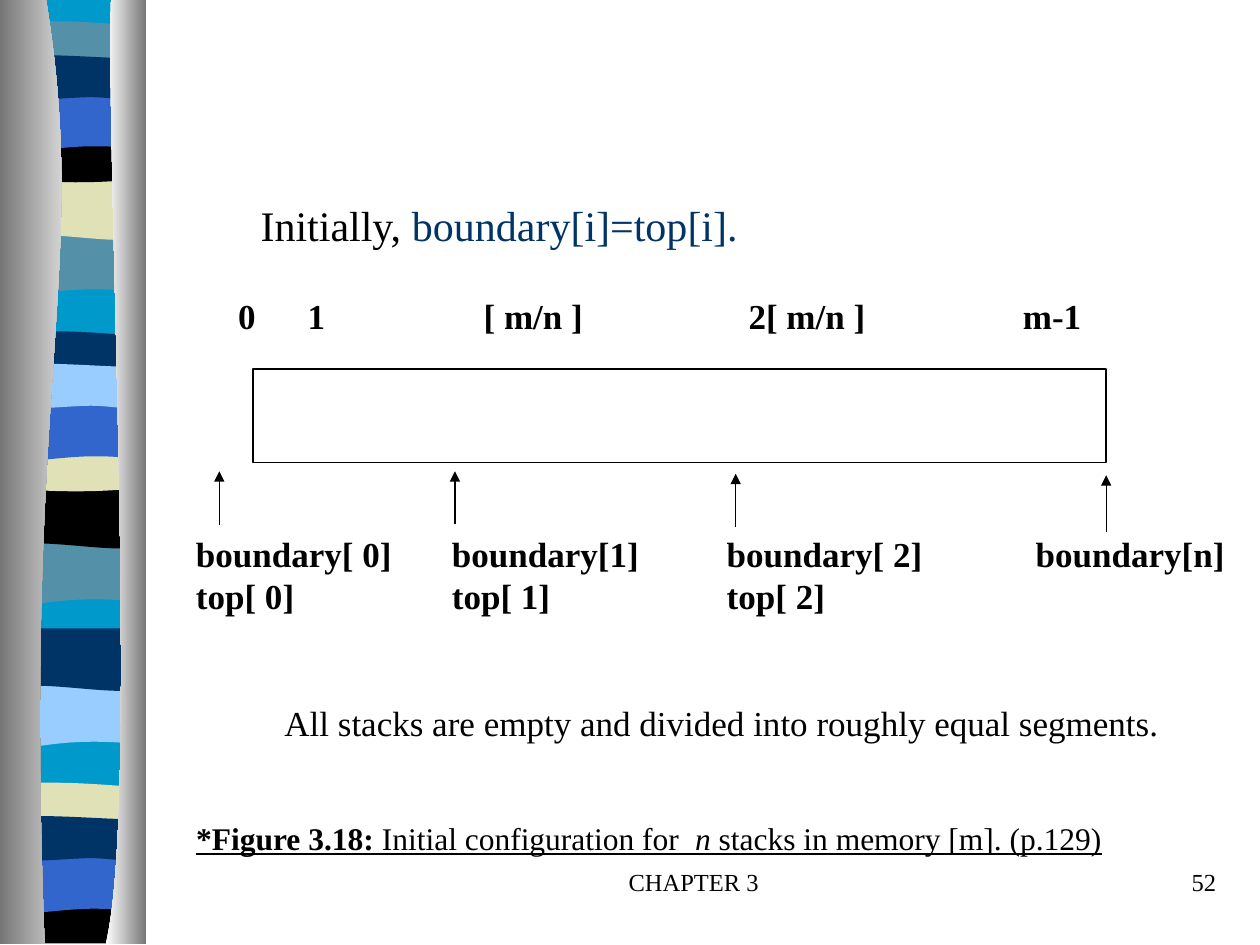
from dataclasses import dataclass
from lxml.etree import SubElement
from pptx import Presentation
from pptx.dml.color import RGBColor
from pptx.enum.shapes import MSO_CONNECTOR, MSO_SHAPE
from pptx.enum.text import MSO_ANCHOR, MSO_AUTO_SIZE, PP_ALIGN
from pptx.oxml.ns import qn
from pptx.util import Cm, Pt


@dataclass(frozen=True)
class Theme:
    font: str = "Times New Roman"
    ink: str = "000000"
    navy: str = "003366"
    blue: str = "3366CC"
    cyan: str = "0099CC"
    teal: str = "5490A8"
    sand: str = "E1E1B7"
    sky: str = "99CCFF"
    light: str = "FFFFFF"
    dark: str = "767676"
    lead: int = 24
    text: int = 20
    caption: int = 18
    footer: int = 14


THEME = Theme()

# All positions are in centimetres.
LEAD = [("Initially, ", {}), ("boundary[i]=top[i].", {"color": THEME.navy})]
INDEX_LABELS = [("0", 4.55, 1.3), ("1", 5.95, 1.3), ("[ m/n ]", 9.5, 3.2),
                ("2[ m/n ]", 14.84, 3.2), ("m-1", 20.37, 3.2)]  # text, left, width
STACKS = [(3.7, ["boundary[ 0]", "top[ 0]"]), (8.86, ["boundary[1]", "top[ 1]"]),
          (14.4, ["boundary[ 2]", "top[ 2]"]), (20.63, ["boundary[n]"])]
REMARK = [("All stacks are empty and divided into roughly equal segments.", {})]
CAPTION = [("*Figure 3.18: ", {"bold": True}), ("Initial configuration for ", {}),
           (" n ", {"italic": True}), ("stacks in memory [m]. (p.129)", {})]
FOOTERS = [("CHAPTER 3", 9.96, 8.05, PP_ALIGN.CENTER),
           ("52", 19.48, 5.29, PP_ALIGN.RIGHT)]
MEMORY = (5.1, 7.44, 17.2, 1.88)
ARROWS = [(4.42, 10.59, 9.5), (9.17, 10.57, 9.5),
          (14.83, 10.62, 9.55), (22.3, 10.72, 9.58)]  # x, foot, tip

# Outlines: a pair is a corner, six numbers are a Bezier curve.
L, R = 0.15, 2.9
BAND_OUTLINES = {
    "sag": [(R, 0), (R, 1.19), (0.99, 0.99, 0.61, 1.4, L, 1.19), (L, 0)],
    "lift": [(R, 0), (R, 1.19), (2.44, 1.4, 0.99, 1.04, L, 1.19), (L, 0)],
    "thin": [(R, 0), (R, 0.61), (2.44, 0.71, 0.61, 0.71, L, 0.61), (L, 0),
             (0.3, -0.13, 0.74, -0.1, 1.19, -0.1), (1.65, -0.1, 2.54, -0.03, R, 0)],
    "bulge": [(R, 0), (R, 0.83), (2.44, 0.97, 0.61, 0.97, L, 0.83), (L, 0),
              (1.83, 0.13, 2.31, 0, R, 0)],
    "foot": [(R, 0), (R, 0.94), (L, 0.94), (L, 0), (1.83, 0.13, 2.31, 0, R, 0)],
    "arch": [(R, 0), (R, 1.19), (2.46, 1.07, 2.29, 1.07, 1.83, 1.07),
             (1.37, 1.07, 0.56, 1.19, L, 1.19), (L, 0)],
    "ripple": [(R, 0), (R, 0.79), (2.72, 0.91, 2.29, 0.79, 1.83, 0.79),
               (1.37, 0.79, 0.43, 0.91, L, 0.79), (L, 0),
               (0.53, -0.13, 2.01, 0, 2.46, 0)],
    "strip": [(R, 0), (R, 18.97), (L, 18.97), (L, 0)],
}
BANDS = [
    ("strip", 0, THEME.cyan),
    ("sag", 4.7, THEME.teal), ("lift", 3.58, THEME.sand), ("thin", 0.53, THEME.teal),
    ("bulge", 2.74, THEME.ink), ("arch", 1.88, THEME.blue), ("ripple", 1.17, THEME.navy),
    ("sag", 10.95, THEME.teal), ("lift", 9.8, THEME.ink), ("thin", 6.78, THEME.navy),
    ("bulge", 8.97, THEME.sand), ("arch", 8.13, THEME.blue), ("ripple", 7.39, THEME.sky),
    ("sag", 13.82, THEME.sky), ("lift", 12.67, THEME.navy), ("thin", 15.88, THEME.sand),
    ("foot", 18.08, THEME.ink), ("arch", 17.25, THEME.blue), ("ripple", 16.51, THEME.navy),
]
COLUMNS = [
    ([(0.93, 0), (1.82, 5.49, 0.45, 7.52, 0.9, 19.03), (0, 19.03), (0, 0)],
     (THEME.dark, THEME.light)),
    ([(2.24, 0), (2.13, 3.18, 2.82, 16.41, 2.13, 19.03), (2.95, 19.03), (2.95, 0)],
     (THEME.light, THEME.dark)),
]


def rgb(code):
    return RGBColor.from_string(code)


def add_outline(page, outline, top=0):
    """Draw all points as a polygon, then join each curve's three lines into a Bezier."""
    points = [(Cm(part[i]), Cm(part[i + 1] + top))
              for part in outline for i in range(0, len(part), 2)]
    builder = page.shapes.build_freeform(*points[0])
    builder.add_line_segments(points[1:], close=True)
    shape = builder.convert_to_shape()
    lines = iter(list(shape._element.iter(qn("a:lnTo"))))
    for part in outline[1:]:
        first = next(lines)
        if len(part) == 6:
            curve = first.makeelement(qn("a:cubicBezTo"))
            first.addprevious(curve)
            for line in (first, next(lines), next(lines)):
                curve.append(line[0])
                line.getparent().remove(line)
    shape.shadow.inherit = False
    shape.line.fill.background()
    return shape


def place(box, left, top, width, height):
    box.left, box.top, box.width, box.height = map(Cm, (left, top, width, height))
    frame = box.text_frame
    frame.word_wrap = True
    frame.auto_size = MSO_AUTO_SIZE.NONE
    frame.vertical_anchor = MSO_ANCHOR.TOP
    return frame


def add_text(page, *area):
    return place(page.shapes.add_textbox(0, 0, 0, 0), *area)


def write(para, spans, size, bold=False, underline=None, indent=0,
          before=0, align=PP_ALIGN.LEFT):
    props = para._p.get_or_add_pPr()
    props.set("marL", str(Cm(indent)))
    props.set("indent", "0")
    SubElement(props, qn("a:buNone"))
    para.alignment = align
    para.space_before = Pt(before)
    font = para.font
    font.name, font.size, font.bold = THEME.font, Pt(size), bold
    font.underline = underline
    font.color.rgb = rgb(THEME.ink)
    for text, style in spans:
        span = para.add_run()
        span.text = text
        if "color" in style:
            span.font.color.rgb = rgb(style["color"])
        if "bold" in style:
            span.font.bold = style["bold"]
        if "italic" in style:
            span.font.italic = style["italic"]


def write_rows(frame, rows):
    for number, (spans, size, options) in enumerate(rows):
        para = frame.add_paragraph() if number else frame.paragraphs[0]
        write(para, spans, size, **options)


def draw_side_art(page):
    for kind, top, color in BANDS:
        band = add_outline(page, BAND_OUTLINES[kind], top)
        band.fill.solid()
        band.fill.fore_color.rgb = rgb(color)
    for outline, colors in COLUMNS:
        column = add_outline(page, outline)
        column.fill.gradient()
        column.fill.gradient_angle = 0
        for stop, color in zip(column.fill.gradient_stops, colors):
            stop.color.rgb = rgb(color)


def draw_memory(page):
    memory = page.shapes.add_shape(MSO_SHAPE.RECTANGLE, *map(Cm, MEMORY))
    memory.shadow.inherit = False
    memory.fill.background()
    arrows = [page.shapes.add_connector(MSO_CONNECTOR.STRAIGHT, Cm(x), Cm(foot), Cm(x), Cm(tip))
              for x, foot, tip in ARROWS]
    for item in [memory, *arrows]:
        item.line.color.rgb = rgb(THEME.ink)
        item.line.width = Pt(0.75)
    for arrow in arrows:
        SubElement(arrow.line._get_or_add_ln(), qn("a:tailEnd"), type="triangle")
        SubElement(arrow._element.spPr, qn("a:effectLst"))


def write_texts(page):
    title, body = page.placeholders
    write(place(title, 5, 3.89, 10.2, 1.27).paragraphs[0], LEAD, THEME.lead)
    write_rows(place(body, 3.7, 14.02, 21.4, 3.35), [
        (REMARK, THEME.text, {"indent": 1.78}),
        (CAPTION, THEME.caption, {"underline": True, "before": 43}),
    ])
    for label, left, width in INDEX_LABELS:
        write(add_text(page, left, 5.82, width, 1.12).paragraphs[0], [(label, {})],
              THEME.text, bold=True)
    for left, lines in STACKS:
        write_rows(add_text(page, left, 10.61, 4.6, 2),
                   [([(line, {})], THEME.text, {"bold": True}) for line in lines])
    for text, left, width, align in FOOTERS:
        write(add_text(page, left, 17.36, width, 1.27).paragraphs[0], [(text, {})],
              THEME.footer, align=align)


def main():
    deck = Presentation()
    deck.slide_width, deck.slide_height = Cm(25.4), Cm(19.05)
    page = deck.slides.add_slide(deck.slide_layouts[1])
    draw_side_art(page)
    draw_memory(page)
    write_texts(page)
    deck.save("out.pptx")


if __name__ == "__main__":
    main()
